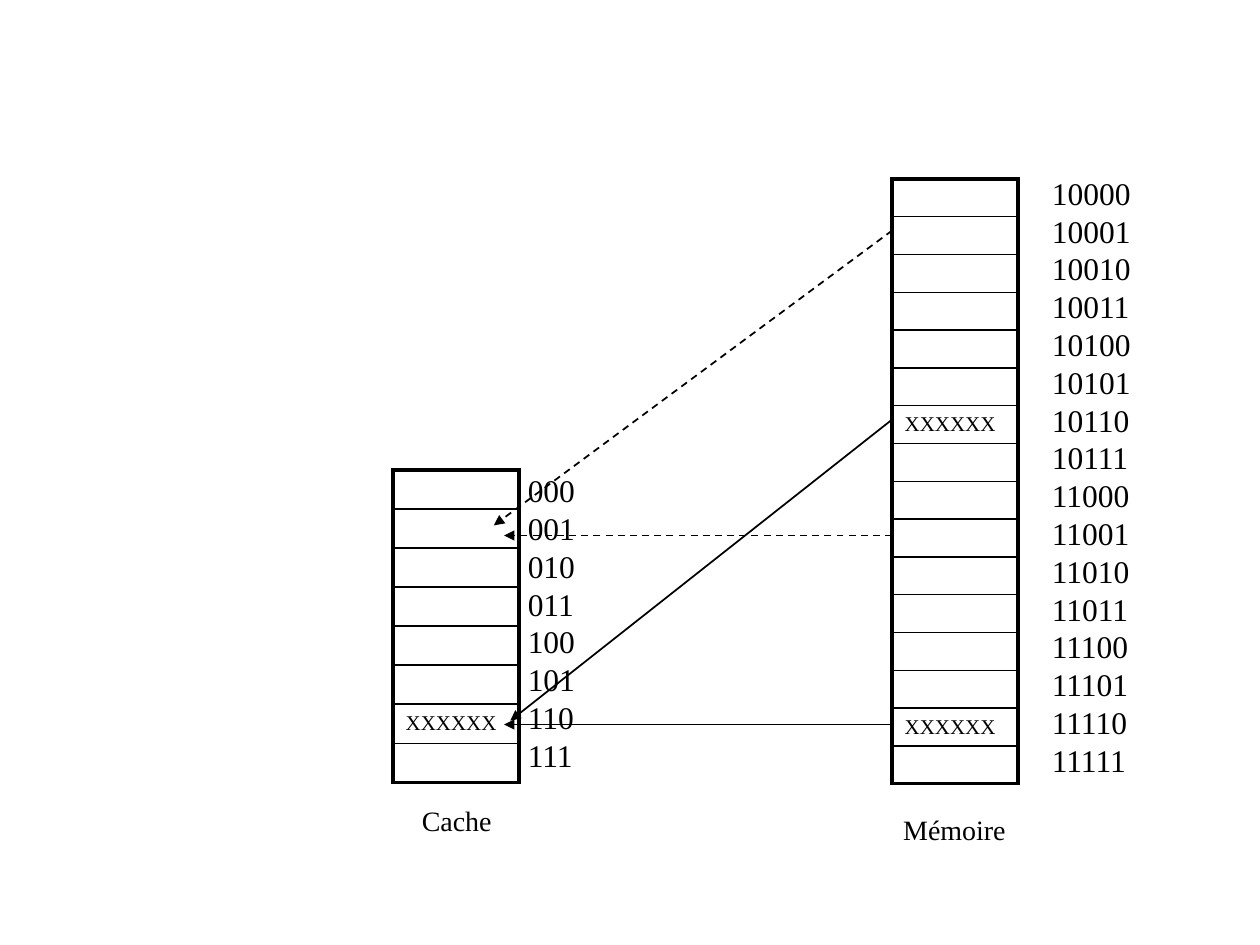
from lxml import etree
from pptx import Presentation
from pptx.dml.color import RGBColor
from pptx.enum.dml import MSO_LINE
from pptx.enum.shapes import MSO_CONNECTOR
from pptx.enum.text import MSO_ANCHOR, MSO_AUTO_SIZE
from pptx.oxml.ns import qn
from pptx.util import Inches, Pt

BLACK = RGBColor(0, 0, 0)
FONT = "Times New Roman"
STRAIGHT, DASH, MIDDLE = MSO_CONNECTOR.STRAIGHT, MSO_LINE.DASH, MSO_ANCHOR.MIDDLE
FIT_SHAPE = MSO_AUTO_SIZE.SHAPE_TO_FIT_TEXT
THICK, THIN = 2.25, 1
BLOCK_WIDTH = 1
DATA = "XXXXXX"

# Position and size of a table, its addresses, and the rows that hold data
MEMORIES = [
    dict(at=(3.12, 3.73), height=2.48, addresses=[f"{n:03b}" for n in range(8)],
         filled=["110"], address_box=(4.09, 3.69, 0.58, 2.5),
         caption="Cache", caption_box=(3.25, 6.33, 0.76, 0.37)),
    dict(at=(7.08, 1.42), height=4.8, addresses=[f"{n:05b}" for n in range(16, 32)],
         filled=["10110", "11110"], address_box=(8.25, 1.33, 0.83, 4.91),
         caption="Mémoire", caption_box=(7.07, 6.4, 1.02, 0.37)),
]

# Start in memory, end in the cache, dashed
TRANSFERS = [
    ((7.08, 5.75), (4, 5.75), False),
    ((7.08, 3.33), (4.05, 5.72), False),
    ((7.08, 1.83), (3.92, 4.17), True),
    ((7.08, 4.25), (4, 4.25), True),
]


def add_run(paragraph, text, size):
    run = paragraph.add_run()
    run.text = text
    run.font.size = Pt(size)
    run.font.name = FONT
    run.font.color.rgb = BLACK


def add_lines(slide, box, lines, size):
    frame = slide.shapes.add_textbox(*map(Inches, box)).text_frame
    frame.word_wrap = False
    frame.auto_size = FIT_SHAPE
    for i, line in enumerate(lines):
        paragraph = frame.add_paragraph() if i else frame.paragraphs[0]
        add_run(paragraph, line, size)


def set_border(cell, side, width):
    properties = cell._tc.get_or_add_tcPr()
    line = etree.SubElement(properties, qn(f"a:ln{side}"), w=str(Pt(width)))
    fill = etree.SubElement(line, qn("a:solidFill"))
    etree.SubElement(fill, qn("a:srgbClr"), val=str(BLACK))


def add_memory(slide, at, height, addresses, filled):
    count = len(addresses)
    left, top = at
    table = slide.shapes.add_table(count, 1, Inches(left), Inches(top),
                                   Inches(BLOCK_WIDTH), Inches(height)).table
    table.first_row = table.horz_banding = False
    for i, address in enumerate(addresses):
        table.rows[i].height = Inches(height / count)
        cell = table.cell(i, 0)
        cell.margin_top = cell.margin_bottom = Inches(0.02)
        cell.vertical_anchor = MIDDLE
        set_border(cell, "L", THICK)
        set_border(cell, "R", THICK)
        set_border(cell, "T", THICK if i == 0 else THIN)
        set_border(cell, "B", THICK if i == count - 1 else THIN)
        cell.fill.background()
        paragraph = cell.text_frame.paragraphs[0]
        if address in filled:
            add_run(paragraph, DATA, 12)
        else:
            # Keeps an empty row from growing to the default text size
            etree.SubElement(paragraph._p, qn("a:endParaRPr"), sz="1200")


def add_arrow(slide, start, end, dashed):
    arrow = slide.shapes.add_connector(STRAIGHT, *map(Inches, start + end))
    arrow.line.color.rgb = BLACK
    arrow.line.width = Pt(THIN)
    if dashed:
        arrow.line.dash_style = DASH
    etree.SubElement(arrow.line._get_or_add_ln(), qn("a:tailEnd"), type="triangle")
    etree.SubElement(arrow._element.spPr, qn("a:effectLst"))


def main():
    prs = Presentation()
    prs.slide_width, prs.slide_height = Inches(10), Inches(7.5)
    slide = prs.slides.add_slide(prs.slide_layouts[6])
    for memory in MEMORIES:
        add_memory(slide, memory["at"], memory["height"],
                   memory["addresses"], memory["filled"])
        add_lines(slide, memory["address_box"], memory["addresses"], 18)
    for transfer in TRANSFERS:
        add_arrow(slide, *transfer)
    for memory in MEMORIES:
        add_lines(slide, memory["caption_box"], [memory["caption"]], 16)
    prs.save("out.pptx")


if __name__ == "__main__":
    main()
